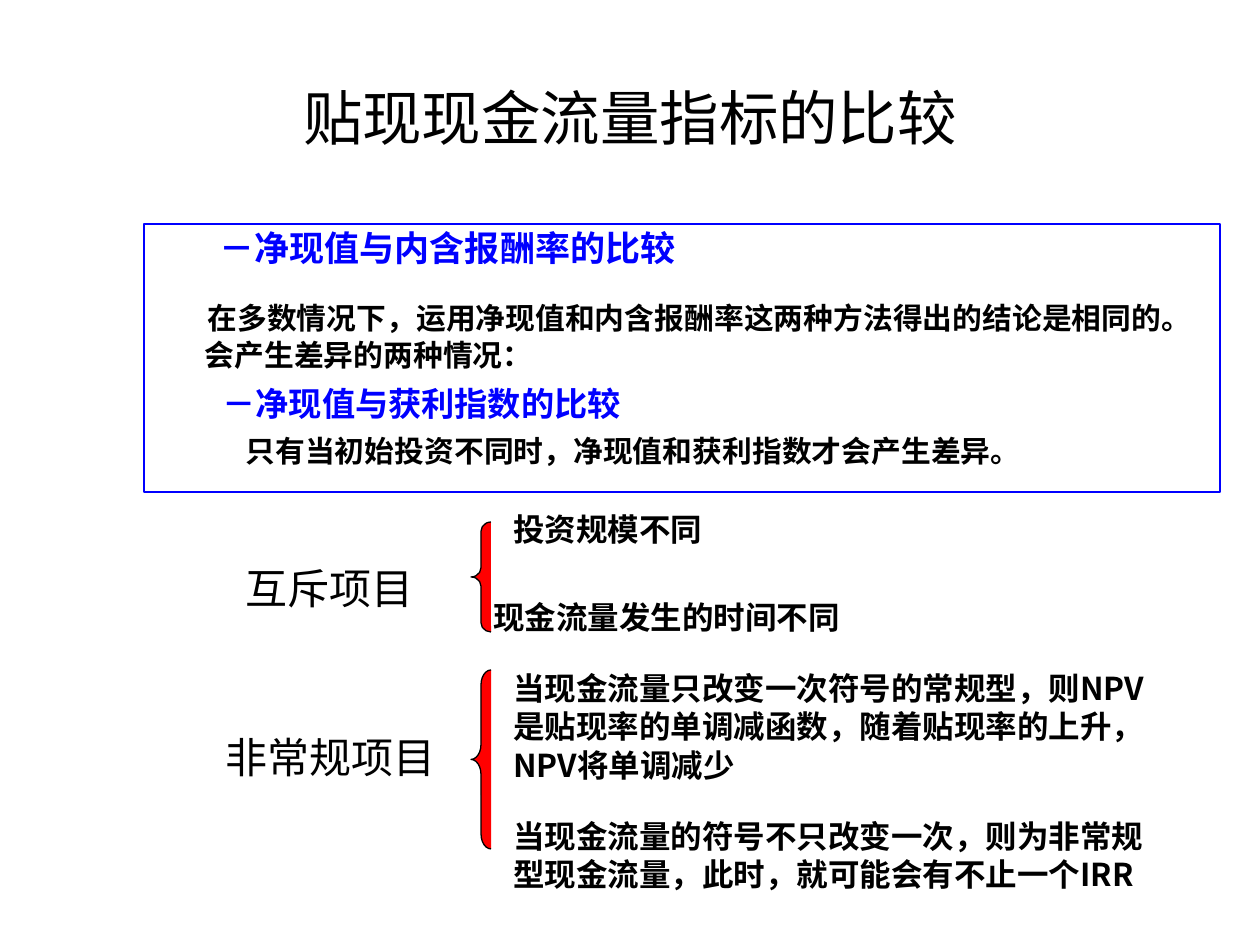
from lxml.etree import SubElement
from pptx import Presentation
from pptx.dml.color import RGBColor
from pptx.enum.shapes import MSO_SHAPE
from pptx.enum.text import MSO_ANCHOR, MSO_AUTO_SIZE, PP_ALIGN
from pptx.oxml.ns import qn
from pptx.util import Emu, Pt

EMU_PER_PX = 914400 / 126
BLACK, BLUE, RED = "000000", "0000FF", "FF0000"
LATIN, CHINESE = "Calibri", "Noto Sans CJK SC"

TITLE = "贴现现金流量指标的比较"
TITLE_AREA = (63, 38, 1134, 157)
BODY_AREA = (144, 224, 1076, 268)
HEADING = dict(font=LATIN, color=BLUE, bold=True)
DETAIL = dict(font=CHINESE, size=17, line=21, bold=True)
# text, left margin px, first line indent px, format
BODY = [
    ("－净现值与内含报酬率的比较", 102, -39, dict(HEADING, size=20, line=22)),
    ("在多数情况下，运用净现值和内含报酬率这两种方法得出的结论是相同的。"
     "会产生差异的两种情况：", 48, 3, dict(DETAIL, before=17)),
    ("－净现值与获利指数的比较", 66, 0, dict(HEADING, size=19, line=23, before=6)),
    ("只有当初始投资不同时，净现值和获利指数才会产生差异。", 89, 0,
     dict(DETAIL, before=5)),
]

LABEL = dict(font=LATIN, size=24, line=31)
CASE = dict(font=LATIN, size=18, line=22, bold=True)
LONG_CASE = dict(CASE, font=CHINESE)
# text, area, wrap, format
TEXTS = [
    ("互斥项目", (233, 552, 193, 63), False, LABEL),
    ("投资规模不同", (501, 503, 247, 50), True, CASE),
    ("现金流量发生的时间不同", (481, 591, 456, 50), True, CASE),
    ("非常规项目", (213, 721, 236, 63), False, LABEL),
    ("当现金流量只改变一次符号的常规型，则NPV是贴现率的单调减函数，"
     "随着贴现率的上升，NPV将单调减少", (501, 662, 665, 126), True, LONG_CASE),
    ("当现金流量的符号不只改变一次，则为非常规型现金流量，此时，"
     "就可能会有不止一个IRR", (501, 810, 669, 88), True, LONG_CASE),
]
# area, curve of the brace
BRACES = [((471, 522, 20, 110), 0.46), ((471, 670, 20, 179), 0.75)]


def px(value):
    return Emu(round(value * EMU_PER_PX))


def rgb(value):
    return RGBColor.from_string(value)


def place(shape, area):
    for name, value in zip(("left", "top", "width", "height"), area):
        setattr(shape, name, px(value))


def outline(shape, color):
    shape.line.color.rgb = rgb(color)
    shape.line.width = Pt(0.75)


def write(para, text, font, size, line=None, before=0, color=BLACK, bold=False):
    settings = {"space_before": Pt(before), "line_spacing": Pt(line) if line else None}
    for name, value in settings.items():
        setattr(para, name, value)
    span = para.add_run()
    span.text = text
    for name, value in {"name": font, "size": Pt(size), "bold": bold}.items():
        setattr(span.font, name, value)
    span.font.color.rgb = rgb(color)
    SubElement(span.font._element, qn("a:ea"), typeface=CHINESE)


def set_indent(para, left, first):
    """Set the margins of a list paragraph and take its bullet away."""
    properties = para._p.get_or_add_pPr()
    properties.set("marL", str(px(left)))
    properties.set("indent", str(px(first)))
    SubElement(properties, qn("a:buNone"))


def fill_placeholders(page):
    title, body = page.shapes.title, page.placeholders[1]
    place(title, TITLE_AREA)
    title.text_frame.vertical_anchor = MSO_ANCHOR.MIDDLE
    heading = title.text_frame.paragraphs[0]
    heading.alignment = PP_ALIGN.CENTER
    write(heading, TITLE, CHINESE, 34)

    place(body, BODY_AREA)
    outline(body, BLUE)
    frame = body.text_frame
    frame.auto_size = MSO_AUTO_SIZE.NONE
    frame.vertical_anchor = MSO_ANCHOR.TOP
    for index, (text, left, first, style) in enumerate(BODY):
        para = frame.add_paragraph() if index else frame.paragraphs[0]
        write(para, text, **style)
        set_indent(para, left, first)


def add_brace(page, area, curve):
    brace = page.shapes.add_shape(MSO_SHAPE.LEFT_BRACE, *map(px, area))
    brace.shadow.inherit = False
    brace.adjustments[0] = curve
    brace.fill.solid()
    brace.fill.fore_color.rgb = rgb(RED)
    outline(brace, BLACK)


def add_text(page, text, area, wrap, style):
    box = page.shapes.add_textbox(*map(px, area))
    box.text_frame.word_wrap = wrap
    write(box.text_frame.paragraphs[0], text, **style)


def main():
    deck = Presentation()
    deck.slide_width, deck.slide_height = px(1260), px(945)
    page = deck.slides.add_slide(deck.slide_layouts[1])
    fill_placeholders(page)
    for brace in BRACES:
        add_brace(page, *brace)
    for item in TEXTS:
        add_text(page, *item)
    deck.save("out.pptx")


if __name__ == "__main__":
    main()
